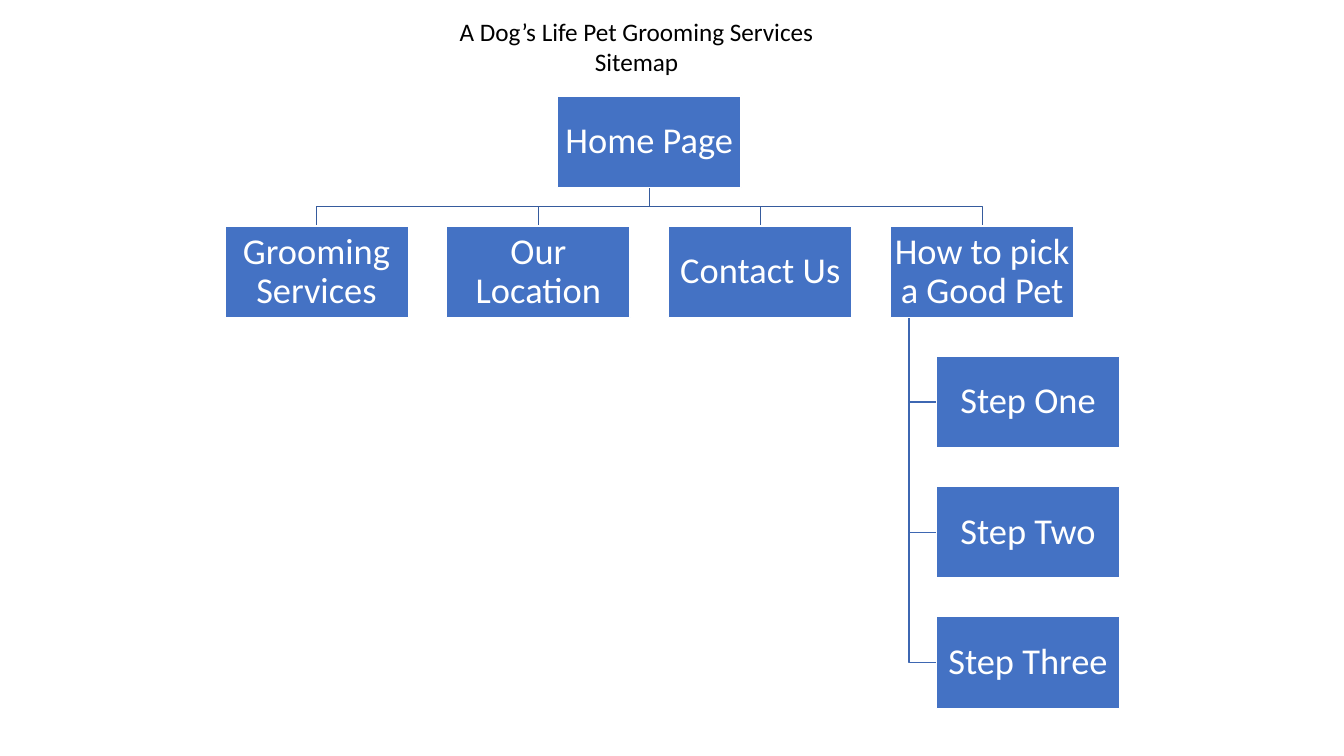
from pptx import Presentation
from pptx.dml.color import RGBColor
from pptx.enum import shapes, text
from pptx.util import Pt

# Content
TITLE = "A Dog\u2019s Life Pet Grooming Services Sitemap"
HOME = "Home Page"
PAGES = ["Grooming Services", "Our Location", "Contact Us", "How to pick a Good Pet"]
STEPS = ["Step One", "Step Two", "Step Three"]  # below the last page

THEME = {
    "font": "Calibri", "title_size": 18, "box_size": 26,
    "black": "000000", "white": "FFFFFF", "box": "4472C4",
    "page_line": "365B9D", "step_line": "3E67B2", "line_width": 1,
}

# Layout in points
SLIDE_W, SLIDE_H = 960, 540
TITLE_BOX = (309.6, 7.9, 290.2, 51.1)
LEFT, TOP = 160.6, 68.5
BOX_W, BOX_H, GAP = 131, 65.5, 27.5
COL, ROW = BOX_W + GAP, BOX_H + GAP
INDENT = BOX_W / 4   # step boxes, from the left of their page
STEM = BOX_W / 10    # step line, from the left of its page
INSET = 1.2

prs = Presentation()
prs.slide_width, prs.slide_height = Pt(SLIDE_W), Pt(SLIDE_H)
s = prs.slides.add_slide(prs.slide_layouts[6])


def color(name):
    return RGBColor.from_string(THEME[name])


def write(tf, words, size, ink):
    tf.word_wrap = True
    tf.text = words
    p = tf.paragraphs[0]
    p.alignment = text.PP_ALIGN.CENTER
    f = p.runs[0].font
    f.name, f.size, f.color.rgb = THEME["font"], Pt(THEME[size]), color(ink)
    return p


def outline(sp, ink):
    sp.shadow.inherit = False
    sp.line.color.rgb, sp.line.width = color(ink), Pt(THEME["line_width"])


def add_box(words, x, y):
    sp = s.shapes.add_shape(shapes.MSO_SHAPE.RECTANGLE, Pt(x), Pt(y), Pt(BOX_W), Pt(BOX_H))
    outline(sp, "white")
    sp.fill.solid()
    sp.fill.fore_color.rgb = color("box")
    tf = sp.text_frame
    tf.vertical_anchor = text.MSO_ANCHOR.MIDDLE
    tf.margin_left = tf.margin_right = tf.margin_top = tf.margin_bottom = Pt(INSET)
    write(tf, words, "box_size", "white").line_spacing = 0.9


def add_path(points, ink):
    start, *rest = [(Pt(x), Pt(y)) for x, y in points]
    fb = s.shapes.build_freeform(*start)
    fb.add_line_segments(rest, close=False)
    sp = fb.convert_to_shape()
    sp.fill.background()
    outline(sp, ink)


# Title
tb = s.shapes.add_textbox(*map(Pt, TITLE_BOX))
write(tb.text_frame, TITLE, "title_size", "black")

# Places of the boxes
page_y = TOP + ROW
pages = [(name, LEFT + i * COL, page_y) for i, name in enumerate(PAGES)]
last_x = pages[-1][1]
home_x = (LEFT + last_x) / 2
steps = [(name, last_x + INDENT, page_y + (i + 1) * ROW) for i, name in enumerate(STEPS)]

# Lines from the last page to its steps
stem_x = last_x + STEM
for _, x, y in steps:
    mid = y + BOX_H / 2
    add_path([(stem_x, page_y + BOX_H), (stem_x, mid), (x, mid)], "step_line")

# Lines from the home page to the pages
home_mid, home_end = home_x + BOX_W / 2, TOP + BOX_H
bus_y = home_end + GAP / 2
for _, x, y in pages:
    mid = x + BOX_W / 2
    add_path([(home_mid, home_end), (home_mid, bus_y), (mid, bus_y), (mid, y)], "page_line")

# Boxes
for box in [(HOME, home_x, TOP), *pages, *steps]:
    add_box(*box)

prs.save("out.pptx")
